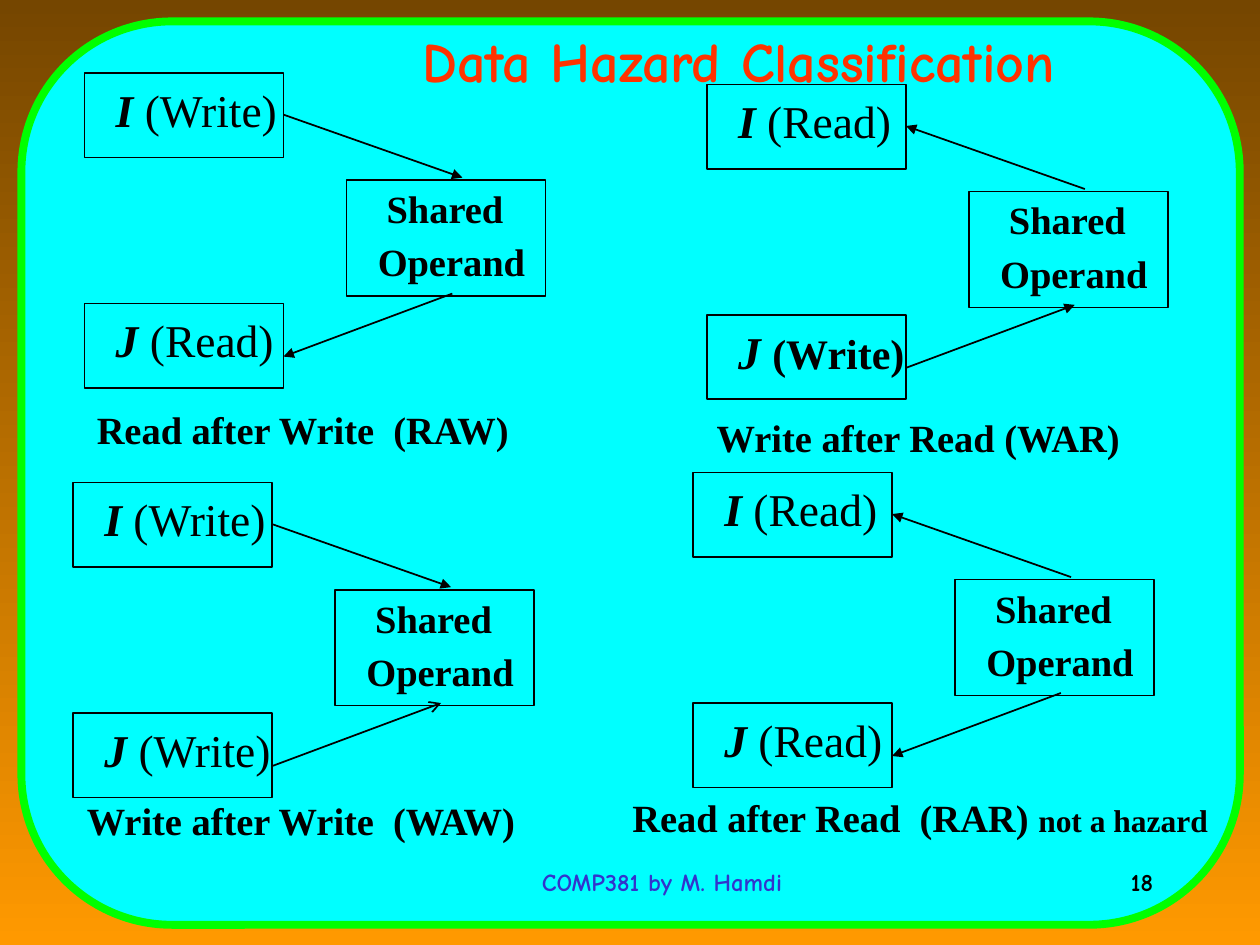
from dataclasses import dataclass

from lxml import etree
from pptx import Presentation
from pptx import util as u
from pptx.dml.color import RGBColor
from pptx.enum import shapes, text
from pptx.oxml.ns import qn


@dataclass(frozen=True)
class Theme:
    """Colours, fonts and sizes of the slide."""
    sky_top: str = "754600"
    sky_bottom: str = "FF9900"
    panel: str = "00FFFF"
    frame: str = "00FF00"
    title: str = "FF3300"
    footer: str = "3333CC"
    ink: str = "000000"
    display_font: str = "Comic Neue"
    body_font: str = "Times New Roman"
    title_size: float = 32
    access_size: float = 26
    small_access_size: float = 24
    label_size: float = 22
    note_size: float = 18
    footer_size: float = 14
    frame_width: float = 4.5
    line_width: float = 1


THEME = Theme()


def add_text(container, position, paragraphs, *, size, font=THEME.body_font,
             color=THEME.ink, align=text.PP_ALIGN.LEFT,
             anchor=text.MSO_ANCHOR.TOP, indents=(), before=(), left_inset=0.1):
    """Add a text box; each paragraph is a list of (text, run format) pairs."""
    shape = container.add_textbox(*map(u.Inches, position))
    frame = shape.text_frame
    frame.word_wrap = True
    frame.vertical_anchor = anchor
    frame.margin_left = u.Inches(left_inset)
    for index, runs in enumerate(paragraphs):
        paragraph = frame.paragraphs[0] if index == 0 else frame.add_paragraph()
        paragraph.alignment = align
        if indents:
            paragraph._p.get_or_add_pPr().set("marL", str(u.Inches(indents[index])))
        if before:
            paragraph.space_before = u.Pt(before[index])
        for words, style in runs:
            run = paragraph.add_run()
            run.text = words
            run.font.name = font
            run.font.size = u.Pt(style.get("size", size))
            run.font.bold = style.get("bold", True)
            run.font.italic = style.get("italic", False)
            run.font.color.rgb = RGBColor.from_string(color)
    return shape


def add_box(container, kind, position, *, line, width, fill=None):
    """Add a preset shape with an outline and an optional fill."""
    shape = container.add_shape(kind, *map(u.Inches, position))
    shape.shadow.inherit = False
    if fill:
        shape.fill.solid()
        shape.fill.fore_color.rgb = RGBColor.from_string(fill)
    else:
        shape.fill.background()
    shape.line.color.rgb = RGBColor.from_string(line)
    shape.line.width = u.Pt(width)
    return shape


def add_arrow(container, start, end, head="triangle"):
    """Add a straight arrow that points at end."""
    arrow = container.add_connector(shapes.MSO_CONNECTOR.STRAIGHT,
                                    *map(u.Inches, (*start, *end)))
    arrow.line.color.rgb = RGBColor.from_string(THEME.ink)
    arrow.line.width = u.Pt(THEME.line_width)
    etree.SubElement(arrow.line._get_or_add_ln(), qn("a:tailEnd"), type=head)
    etree.SubElement(arrow._element.spPr, qn("a:effectLst"))
    return arrow


def add_access(container, left, top, name, access, style):
    """Add the box of one instruction and its kind of access."""
    add_box(container, shapes.MSO_SHAPE.RECTANGLE, (left, top, 1.58, 0.67),
            line=THEME.ink, width=THEME.line_width)
    add_text(container, (left + 0.15, top + 0.02, 1.6, 0.54),
             [[(name + " ", {"italic": True}), (f"({access})", style)]],
             size=THEME.access_size, before=(3,))


def add_operand(container, left, top):
    """Add the box of the shared operand."""
    add_box(container, shapes.MSO_SHAPE.RECTANGLE, (left, top, 1.58, 0.92),
            line=THEME.ink, width=THEME.line_width)
    add_text(container, (left + 0.07, top - 0.01, 1.53, 0.9),
             [[("Shared", {})], [("Operand", {})]], size=THEME.label_size,
             indents=(0.15, 0.08), before=(2, 4))


def add_hazard(slide, origin, accesses, caption, caption_position,
               second_style=None, second_head="triangle"):
    """Add one diagram: two accesses, the operand, arrows and a caption."""
    left, top = origin
    first, second = accesses
    plain = {"bold": False}
    group = slide.shapes.add_group_shape().shapes
    add_access(group, left, top, "I", first, plain)
    add_operand(group, left + 2.08, top + 0.85)
    add_access(group, left, top + 1.83, "J", second, second_style or plain)
    links = (
        (first, (left + 1.58, top + 0.33), (left + 3, top + 0.83), "triangle"),
        (second, (left + 1.58, top + 2.25), (left + 2.92, top + 1.75), second_head),
    )
    for access, instruction, operand, head in links:
        # A write points at the operand, a read points back at the instruction.
        ends = (instruction, operand) if access == "Write" else (operand, instruction)
        add_arrow(group, *ends, head=head)
    add_text(group, caption_position, [caption], size=THEME.label_size, before=(2,))


def add_background(slide):
    """Fill the background and draw the framed panel."""
    fill = slide.background.fill
    fill.gradient()
    fill.gradient_angle = 270
    for stop, color in zip(fill.gradient_stops, (THEME.sky_top, THEME.sky_bottom)):
        stop.color.rgb = RGBColor.from_string(color)
    add_box(slide.shapes, shapes.MSO_SHAPE.FLOWCHART_ALTERNATE_PROCESS,
            (0.17, 0.17, 9.67, 7.17), line=THEME.frame,
            width=THEME.frame_width, fill=THEME.panel)


def main():
    """Build the slide and save it."""
    presentation = Presentation()
    presentation.slide_width = u.Inches(10)
    presentation.slide_height = u.Inches(7.5)
    slide = presentation.slides.add_slide(presentation.slide_layouts[6])

    add_background(slide)
    add_text(slide.shapes, (3.67, 6.83, 3.17, 0.5), [[("COMP381 by M. Hamdi", {})]],
             size=THEME.footer_size, font=THEME.display_font, color=THEME.footer,
             align=text.PP_ALIGN.CENTER)
    add_text(slide.shapes, (0.75, 0.42, 8.5, 0.12),
             [[("Data Hazard Classification", {})]],
             size=THEME.title_size, font=THEME.display_font, color=THEME.title,
             align=text.PP_ALIGN.CENTER, anchor=text.MSO_ANCHOR.MIDDLE,
             left_inset=1.83)

    add_hazard(slide, (0.67, 0.58), ("Write", "Read"),
               [("Read after Write  (RAW)", {})], (0.67, 3.17, 3.6, 0.47))
    add_hazard(slide, (5.61, 0.67), ("Read", "Write"),
               [("Write after Read (WAR)", {})], (5.59, 3.24, 3.5, 0.47),
               second_style={"size": THEME.small_access_size})
    add_hazard(slide, (0.58, 3.83), ("Write", "Write"),
               [("Write after Write  (WAW)", {})], (0.59, 6.28, 3.75, 0.47),
               second_head="arrow")
    add_hazard(slide, (5.5, 3.75), ("Read", "Read"),
               [("Read after Read  (RAR) ", {}),
                ("not a hazard", {"size": THEME.note_size})],
               (4.92, 6.25, 4.85, 0.47))

    add_text(slide.shapes, (7.17, 6.83, 2.08, 0.5), [[("18", {})]],
             size=THEME.footer_size, font=THEME.display_font,
             align=text.PP_ALIGN.RIGHT)
    presentation.save("out.pptx")


main()
